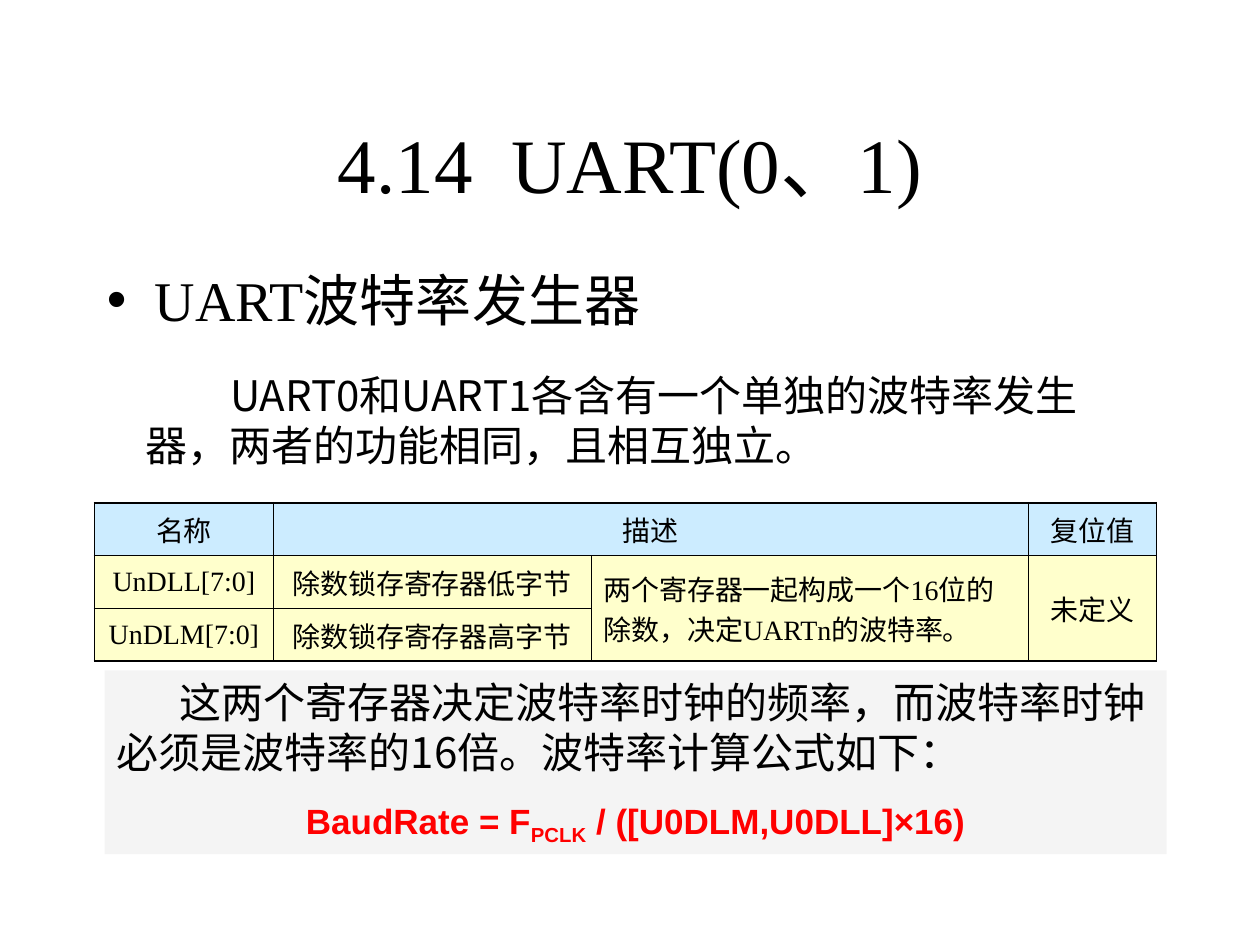
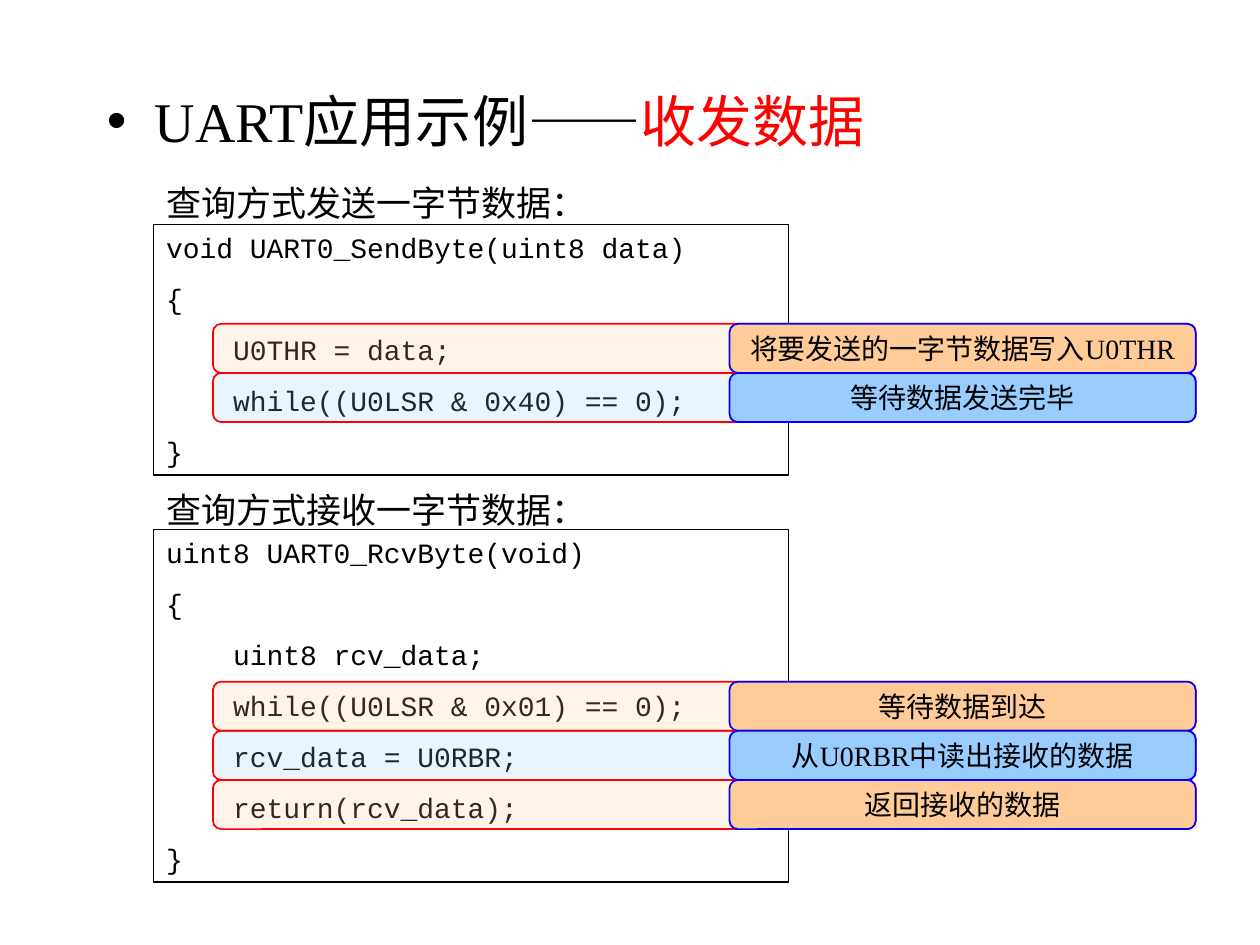
"""Build two slides on the UART baud-rate generator and byte transfer code."""
from dataclasses import dataclass
from typing import Optional

from lxml import etree
from pptx import Presentation
from pptx.dml.color import RGBColor
from pptx.enum.shapes import MSO_SHAPE
from pptx.enum.text import MSO_ANCHOR, PP_ALIGN
from pptx.oxml.ns import qn
from pptx.util import Emu, Pt

RECT, ROUND = MSO_SHAPE.RECTANGLE, MSO_SHAPE.ROUNDED_RECTANGLE
MIDDLE, TOP = MSO_ANCHOR.MIDDLE, MSO_ANCHOR.TOP
LEFT, CENTER = PP_ALIGN.LEFT, PP_ALIGN.CENTER

BLACK = RGBColor(0x00, 0x00, 0x00)
WHITE = RGBColor(0xFF, 0xFF, 0xFF)
RED = RGBColor(0xFF, 0x00, 0x00)
BLUE = RGBColor(0x00, 0x00, 0xFF)
GREY = RGBColor(0xDD, 0xDD, 0xDD)
ORANGE = RGBColor(0xFF, 0xCC, 0x99)
SKY = RGBColor(0x99, 0xCC, 0xFF)
HEADER_BLUE = RGBColor(0xCC, 0xEC, 0xFF)
PALE_YELLOW = RGBColor(0xFF, 0xFF, 0xCC)

SERIF, SANS, CODE, CJK = "Times New Roman", "Arial", "Courier New", "Noto Sans CJK JP"
EMU_PER_PX = 9144
THICK, THIN = 1.25, 0.45
ROW_H = 42
COL_WIDTHS = (142, 252, 347, 102)
TABLE_TEXT = (
    ("名称", "描述", "", "复位值"),
    ("UnDLL[7:0]", "除数锁存寄存器低字节",
     "两个寄存器一起构成一个16位的除数，决定UARTn的波特率。", "未定义"),
    ("UnDLM[7:0]", "除数锁存寄存器高字节", "", ""),
)
MERGES = (((0, 1), (0, 2)), ((1, 2), (2, 2)), ((1, 3), (2, 3)))
BAR_H = 39


@dataclass(frozen=True)
class Box:
    """A place on the slide in px."""
    x: int
    y: int
    w: int
    h: int

    def emu(self) -> tuple:
        """Return left, top, width and height in EMU."""
        return tuple(px(v) for v in (self.x, self.y, self.w, self.h))


@dataclass(frozen=True)
class Listing:
    """A captioned code frame with explained lines."""
    caption: str
    caption_y: int
    frame: Box
    code: tuple
    bars_y: int
    notes: tuple


LISTINGS = (
    Listing("查询方式发送一字节数据：", 139, Box(122, 178, 504, 199),
            ("void UART0_SendByte(uint8 data)", "{", "    U0THR = data;",
             "    while((U0LSR & 0x40) == 0);", "}"),
            257, ("将要发送的一字节数据写入U0THR", "等待数据发送完毕")),
    Listing("查询方式接收一字节数据：", 383, Box(122, 420, 504, 280),
            ("uint8 UART0_RcvByte(void)", "{", "    uint8 rcv_data;",
             "    while((U0LSR & 0x01) == 0);", "    rcv_data = U0RBR;",
             "    return(rcv_data);", "}"),
            541, ("等待数据到达", "从U0RBR中读出接收的数据", "返回接收的数据")),
)


def px(value: int) -> Emu:
    """Turn px into EMU."""
    return Emu(value * EMU_PER_PX)


def write(p, text: str, *, size: int, font: str = SERIF, color: RGBColor = BLACK,
          bold: bool = False, baseline: int = 0) -> None:
    """Append a formatted run to a paragraph."""
    r = p.add_run()
    r.text = text
    r.font.size, r.font.name, r.font.bold = Pt(size), font, bold
    r.font.color.rgb = color
    rpr = r._r.get_or_add_rPr()
    etree.SubElement(rpr, qn("a:ea")).set("typeface", CJK)
    if baseline:
        rpr.set("baseline", str(baseline * 1000))


def frame_text(tf, *, anchor=TOP, align=LEFT, wrap: bool = True):
    """Set the insets and layout of a frame and return its first paragraph."""
    tf.margin_left = tf.margin_right = px(10)
    tf.margin_top = tf.margin_bottom = px(5)
    tf.vertical_anchor, tf.word_wrap = anchor, wrap
    tf.paragraphs[0].alignment = align
    return tf.paragraphs[0]


def compact(tf, size: int, *, margin: int = 0, indent: int = 0):
    """Prepare a frame for Chinese text with a tight line pitch."""
    p = frame_text(tf)
    p.line_spacing = Pt(size * 1.2)
    ppr = p._p.get_or_add_pPr()
    ppr.set("marL", str(px(margin)))
    ppr.set("indent", str(px(indent)))
    return p


def add_text_box(slide, box: Box):
    """Add a text box and return its frame."""
    return slide.shapes.add_textbox(*box.emu()).text_frame


def add_bullet(slide, y: int):
    """Add a bulleted heading and return its paragraph."""
    p = compact(add_text_box(slide, Box(75, y, 850, 67)), 32, margin=38, indent=-38)
    ppr = p._p.get_or_add_pPr()
    color = etree.SubElement(ppr, qn("a:buClr"))
    etree.SubElement(color, qn("a:srgbClr")).set("val", str(BLACK))
    etree.SubElement(ppr, qn("a:buFont")).set("typeface", SANS)
    etree.SubElement(ppr, qn("a:buChar")).set("char", "•")
    return p


def add_shape(slide, kind, box: Box, fill: RGBColor, *, alpha: int = 100,
              line: Optional[RGBColor] = None, width: float = 1):
    """Add a filled shape without a shadow."""
    sp = slide.shapes.add_shape(kind, *box.emu())
    sp.shadow.inherit = False
    sp.fill.solid()
    sp.fill.fore_color.rgb = fill
    if alpha < 100:
        color = sp._element.spPr.find(qn("a:solidFill"))[0]
        etree.SubElement(color, qn("a:alpha")).set("val", str(alpha * 1000))
    if line is None:
        sp.line.fill.background()
    else:
        sp.line.color.rgb, sp.line.width = line, Pt(width)
    return sp


def set_borders(cell, edges: dict) -> None:
    """Draw black cell borders with the given widths in points."""
    tcpr = cell._tc.get_or_add_tcPr()
    for side, width in edges.items():
        ln = etree.SubElement(tcpr, qn(f"a:ln{side}"), w=str(Pt(width)))
        fill = etree.SubElement(ln, qn("a:solidFill"))
        etree.SubElement(fill, qn("a:srgbClr")).set("val", str(BLACK))


def add_register_table(slide) -> None:
    """Add the table of divisor latch registers."""
    rows, cols = len(TABLE_TEXT), len(COL_WIDTHS)
    box = Box(75, 399, sum(COL_WIDTHS), rows * ROW_H)
    table = slide.shapes.add_table(rows, cols, *box.emu()).table
    for column, width in zip(table.columns, COL_WIDTHS):
        column.width = px(width)
    for first, last in MERGES:
        table.cell(*first).merge(table.cell(*last))
    for i, texts in enumerate(TABLE_TEXT):
        table.rows[i].height = px(ROW_H)
        for j, text in enumerate(texts):
            cell = table.cell(i, j)
            right = j + (cell.span_width if cell.is_merge_origin else 1)
            bottom = i + (cell.span_height if cell.is_merge_origin else 1)
            set_borders(cell, {
                "L": THICK if j == 0 else THIN,
                "R": THICK if right == cols else THIN,
                "T": THICK if i == 0 else THIN,
                "B": THICK if bottom == rows else THIN,
            })
            cell.fill.solid()
            cell.fill.fore_color.rgb = HEADER_BLUE if i == 0 else PALE_YELLOW
            cell.vertical_anchor = MIDDLE
            if text:
                p = cell.text_frame.paragraphs[0]
                p.alignment = LEFT if (i, j) == (1, 2) else CENTER
                write(p, text, size=16)


def build_generator(prs) -> None:
    """Build the baud-rate generator slide."""
    slide = prs.slides.add_slide(prs.slide_layouts[5])
    title = slide.shapes.title
    title.left, title.top, title.width, title.height = Box(75, 67, 850, 125).emu()
    p = frame_text(title.text_frame, anchor=MIDDLE, align=CENTER)
    write(p, "4.14  UART(0、1)", size=44)
    write(add_bullet(slide, 206), "UART波特率发生器", size=32)
    p = compact(add_text_box(slide, Box(106, 288, 787, 90)), 24, indent=67)
    write(p, "UART0和UART1各含有一个单独的波特率发生器，两者的功能相同，且相互独立。",
          size=24, font=CJK)
    add_register_table(slide)
    tf = add_shape(slide, RECT, Box(83, 532, 843, 146), GREY, alpha=30).text_frame
    p = compact(tf, 24, indent=50)
    write(p, "这两个寄存器决定波特率时钟的频率，而波特率时钟必须是波特率的16倍。波特率计算公式如下：",
          size=24, font=CJK)
    p = tf.add_paragraph()
    p.alignment, p.space_before = CENTER, Pt(12.5)
    for text, baseline in (("BaudRate = F", 0), ("PCLK", -25),
                           (" / ([U0DLM,U0DLL]×16)", 0)):
        write(p, text, size=20, font=SANS, color=RED, bold=True, baseline=baseline)


def add_code(slide, listing: Listing) -> None:
    """Add a caption and its code frame."""
    sp = add_shape(slide, RECT, listing.frame, WHITE, line=BLACK, width=0.75)
    tf = sp.text_frame
    p = frame_text(tf)
    for i, line in enumerate(listing.code):
        if i:
            p = tf.add_paragraph()
            p.alignment, p.space_before = LEFT, Pt(10)
        write(p, line, size=16, font=CODE)
    caption = Box(listing.frame.x, listing.caption_y, 402, 44)
    p = compact(add_text_box(slide, caption), 20)
    write(p, listing.caption, size=20, font=CODE)


def add_notes(slide, listing: Listing) -> None:
    """Add the highlight bars and the labels that explain code lines."""
    for i, note in enumerate(listing.notes):
        y = listing.bars_y + i * BAR_H
        fill = SKY if i % 2 else ORANGE
        bar = add_shape(slide, ROUND, Box(169, y, 780, BAR_H), fill, alpha=20, line=RED)
        label = add_shape(slide, ROUND, Box(579, y, 370, BAR_H), fill, line=BLUE)
        for sp in (bar, label):
            sp.adjustments[0] = 0.17
        p = frame_text(label.text_frame, anchor=MIDDLE, align=CENTER, wrap=False)
        write(p, note, size=16)


def build_example(prs) -> None:
    """Build the send and receive example slide."""
    slide = prs.slides.add_slide(prs.slide_layouts[6])
    p = add_bullet(slide, 64)
    write(p, "UART应用示例——", size=32)
    write(p, "收发数据", size=32, color=RED)
    for listing in LISTINGS:
        add_code(slide, listing)
    for listing in LISTINGS:
        add_notes(slide, listing)


def main() -> None:
    """Build and save the presentation."""
    prs = Presentation()
    prs.slide_width, prs.slide_height = px(1000), px(750)
    build_generator(prs)
    build_example(prs)
    prs.save("out.pptx")


if __name__ == "__main__":
    main()
